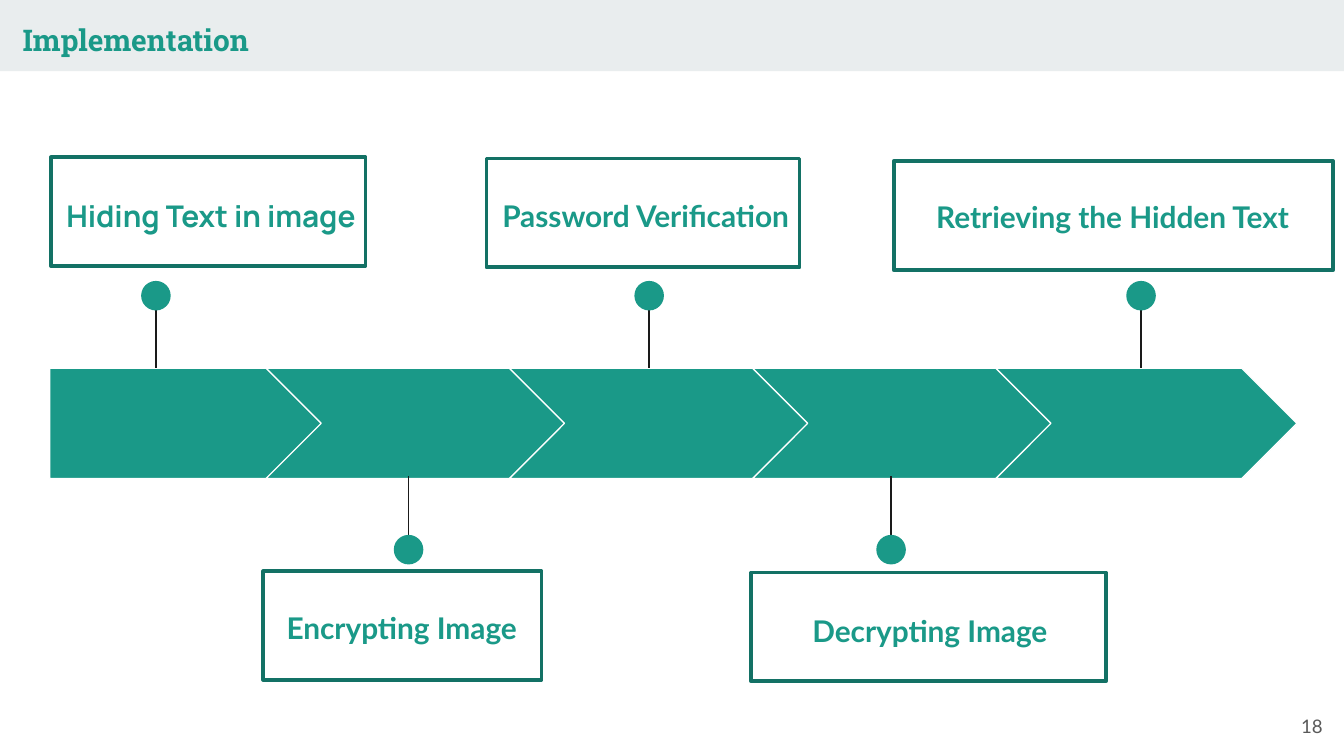
import pptx
import pptx.util
import pptx.dml.color
import pptx.enum.shapes
import pptx.enum.text
import pptx.oxml.ns
import lxml.etree

Inches, Pt = pptx.util.Inches, pptx.util.Pt
RGB = pptx.dml.color.RGBColor
KIND = pptx.enum.shapes.MSO_SHAPE
ALIGN = pptx.enum.text.PP_ALIGN
ANCHOR = pptx.enum.text.MSO_ANCHOR

TEAL = RGB(0x1A, 0x99, 0x88)
DARK = RGB(0x13, 0x71, 0x65)
BAND = RGB(0xE9, 0xED, 0xEE)
WHITE = RGB(0xFF, 0xFF, 0xFF)
INK = RGB(0x1A, 0x1A, 0x1A)
GRAY = RGB(0x59, 0x59, 0x59)

# Content: label, font, pin x, text box, frame (left, top, width, height)
STEPS = [
    ("Hiding Text in image", "Manrope", 1.16,
     (0.26, 1.33, 2.62, 0.48), (0.38, 1.17, 2.34, 0.81)),
    ("Encrypting Image", "Lato", 3.04,
     (1.87, 4.4, 2.24, 0.5), (1.96, 4.25, 2.07, 0.81)),
    ("Password Verification", "Lato", 4.83,
     (3.58, 1.33, 2.45, 0.48), (3.62, 1.18, 2.33, 0.81)),
    ("Decrypting Image", "Lato", 6.63,
     (5.6, 4.42, 2.64, 0.5), (5.59, 4.26, 2.64, 0.81)),
    ("Retrieving the Hidden Text", "Lato", 8.49,
     (6.53, 1.34, 3.5, 0.5), (6.65, 1.2, 3.27, 0.81)),
]
TOP, HIGH = 2.74, 0.82          # arrow row
FIRST, PITCH, WIDE = 1.98, 1.81, 2.24
DOT = 0.22

# Widescreen 16:9 page
deck = pptx.Presentation()
deck.slide_width = Inches(10)
deck.slide_height = Inches(10 * 9 / 16)
slide = deck.slides.add_slide(deck.slide_layouts[6])


def add_shape(kind, box, fill=None, line=None, width=0.75):
    shape = slide.shapes.add_shape(kind, *map(Inches, box))
    shape.shadow.inherit = False
    if fill is None:
        shape.fill.background()
    else:
        shape.fill.solid()
        shape.fill.fore_color.rgb = fill
    if line is None:
        shape.line.fill.background()
    else:
        shape.line.color.rgb = line
        shape.line.width = Pt(width)
    return shape


def add_text(text, box, font, size, color, bold=False, align=ALIGN.LEFT, pad=0.1):
    frame = slide.shapes.add_textbox(*map(Inches, box)).text_frame
    frame.word_wrap = True
    frame.margin_top = frame.margin_bottom = Inches(pad)
    para = frame.paragraphs[0]
    para.text = text
    para.alignment = align
    para.font.name = font
    para.font.size = Pt(size)
    para.font.bold = bold
    para.font.color.rgb = color
    return frame


def add_pin(x, above):
    start, end, dot = (2.13, TOP, 2.09) if above else (4.15, 3.54, 3.98)
    line = slide.shapes.add_connector(
        pptx.enum.shapes.MSO_CONNECTOR.STRAIGHT,
        Inches(x), Inches(start), Inches(x), Inches(end))
    line.line.color.rgb = INK
    line.line.width = Pt(0.75)
    lxml.etree.SubElement(line._element.spPr, pptx.oxml.ns.qn("a:effectLst"))
    add_shape(KIND.OVAL, (x - DOT / 2, dot, DOT, DOT), TEAL)


# Header
add_shape(KIND.RECTANGLE, (0, 0, 10, 0.53), BAND)
title = add_text("Implementation", (0.07, 0.11, 2.16, 0.37), "Roboto Slab",
                 16, TEAL, bold=True, pad=0.05)
title.word_wrap = False

# Arrow row with pins and labels, alternating above and below
for i, (label, font, x, box, frame) in enumerate(STEPS):
    if i == 0:
        arrow = add_shape(KIND.PENTAGON, (0.37, TOP, 2.05, HIGH), TEAL, WHITE)
    else:
        left = FIRST + (i - 1) * PITCH
        arrow = add_shape(KIND.CHEVRON, (left, TOP, WIDE, HIGH), TEAL, WHITE)
    arrow.adjustments[0] = 0.5
    add_pin(x, above=i % 2 == 0)
    text = add_text(label, box, font, 16, TEAL, bold=True, align=ALIGN.CENTER)
    text.paragraphs[0].line_spacing = 1.15
    text.paragraphs[0].space_after = Pt(16)
    add_shape(KIND.RECTANGLE, frame, line=DARK, width=2)

# Page number
page = add_text("18", (9.34, 5.19, 0.6, 0.43), "Lato", 10, GRAY, align=ALIGN.RIGHT)
page.vertical_anchor = ANCHOR.MIDDLE

deck.save("out.pptx")
